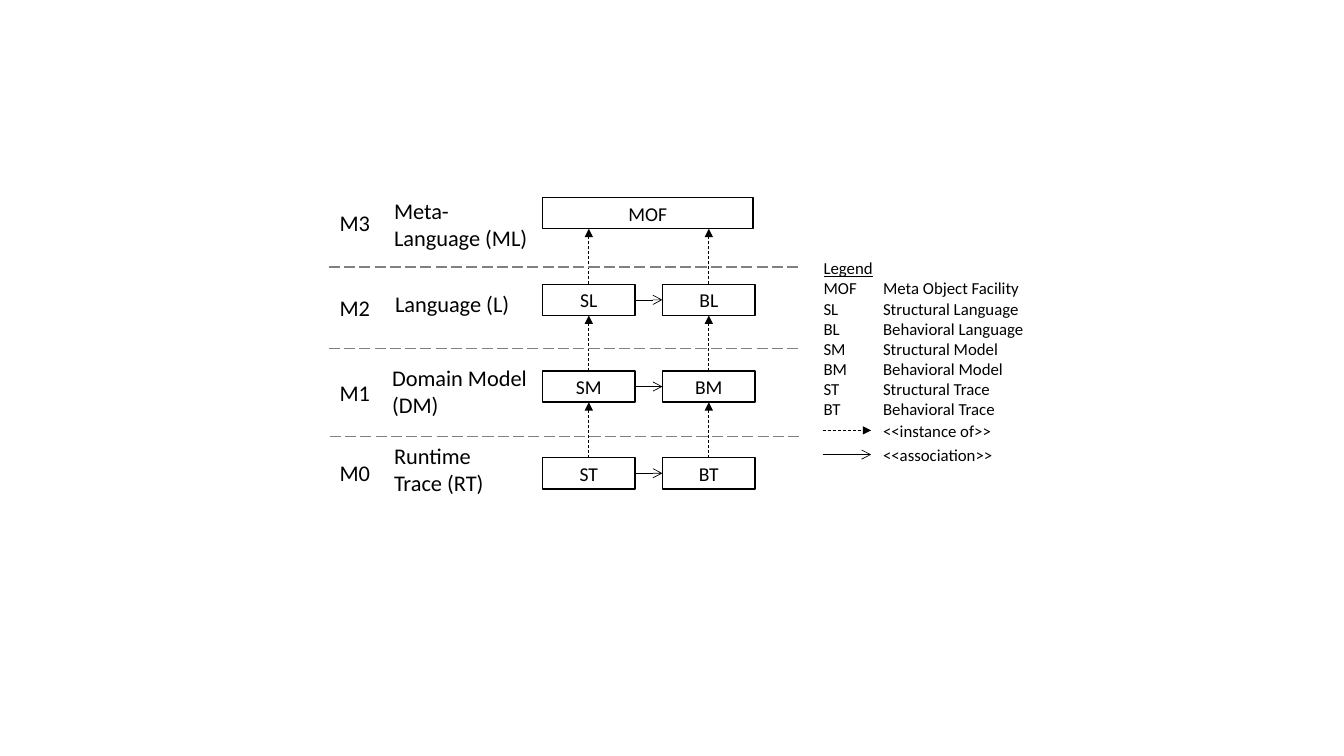
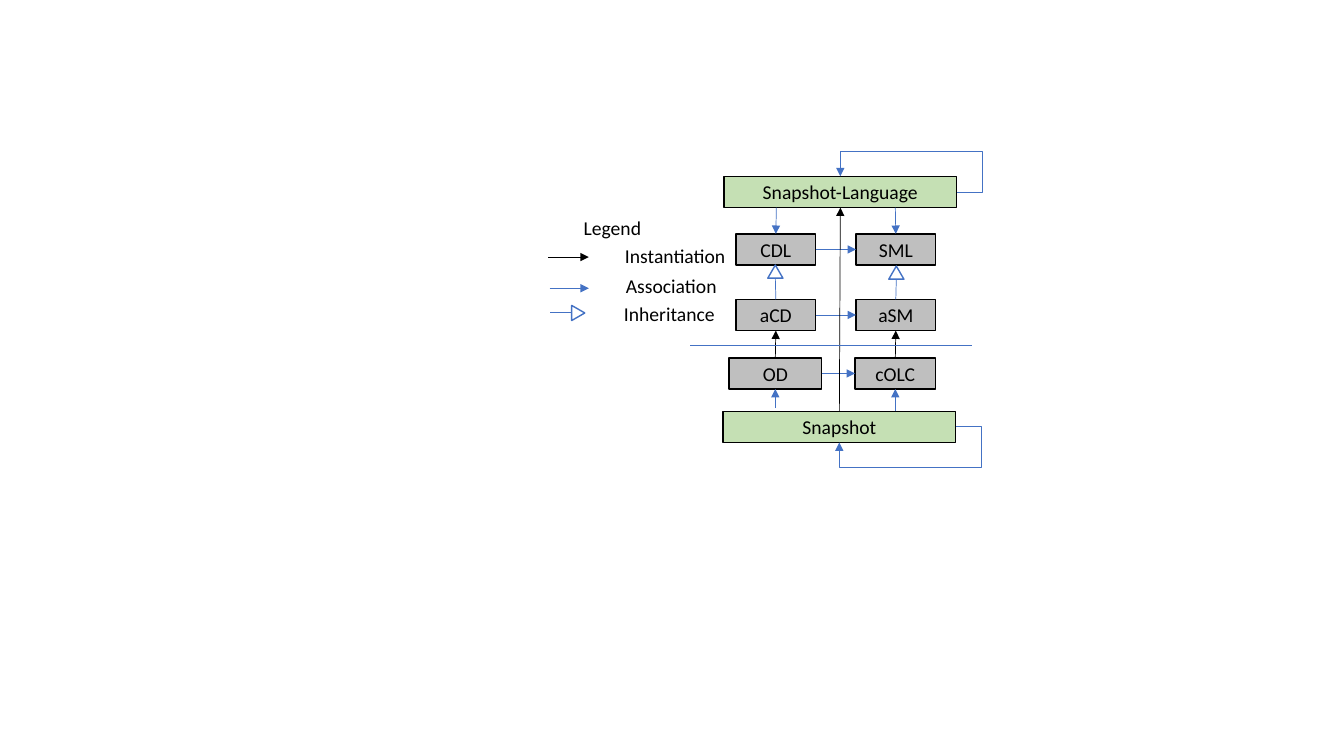
from lxml import etree
from pptx import Presentation
from pptx.dml.color import RGBColor
from pptx.enum.dml import MSO_LINE
from pptx.enum.shapes import MSO_CONNECTOR as Connector, MSO_SHAPE as Shape
from pptx.enum.text import MSO_ANCHOR as Anchor, PP_ALIGN as Align
from pptx.oxml.ns import qn
from pptx.util import Inches, Pt

# Shared style
FONT = "Calibri"
BLACK, WHITE, GRAY = "000000", "FFFFFF", "808080"
BLUE, SILVER, GREEN = "4472C4", "BFBFBF", "C5E0B4"
BOX_HEIGHT = 0.31
TOP, LEFT, BOTTOM, RIGHT = range(4)

# Slide 1: level, its y, description, description x and y, boxes of the row
LEVELS = [
    ("M3", 2.03, "Meta-\nLanguage (ML)", 3.81, 1.91, ["MOF"]),
    ("M2", 2.87, "Language (L)", 3.82, 2.83, ["SL", "BL"]),
    ("M1", 3.71, "Domain Model\n(DM)", 3.79, 3.56, ["SM", "BM"]),
    ("M0", 4.51, "Runtime\nTrace (RT)", 3.81, 4.34, ["ST", "BT"]),
]
ROW_TOP, ROW_STEP = 1.96, 0.86
COLUMN_LEFT, COLUMN_STEP = 5.38, 1.19
SEPARATORS = [(3.26, 2.65), (3.26, 3.46), (3.27, 4.33)]
ABBREVIATIONS = [
    "Legend",
    "MOF\tMeta Object Facility",
    "SL\tStructural Language",
    "BL\tBehavioral Language",
    "SM\tStructural Model",
    "BM\tBehavioral Model",
    "ST\tStructural Trace",
    "BT\tBehavioral Trace",
]
ARROW_LEGEND = [
    ("<<instance of>>", 4.27, "triangle", True),
    ("<<association>>", 4.51, "arrow", False),
]

# Slide 2: name, left, top, width, fill
LANGUAGE_BOXES = [
    ("Snapshot-Language", 7.18, 1.75, 2.31, GREEN),
    ("CDL", 7.3, 2.32, 0.79, SILVER),
    ("SML", 8.49, 2.32, 0.79, SILVER),
    ("aCD", 7.3, 2.97, 0.79, SILVER),
    ("aSM", 8.49, 2.97, 0.79, SILVER),
    ("OD", 7.23, 3.55, 0.92, SILVER),
    ("cOLC", 8.48, 3.55, 0.8, SILVER),
    ("Snapshot", 7.17, 4.08, 2.31, GREEN),
]
ASSOCIATIONS = [("CDL", "SML"), ("aCD", "aSM"), ("OD", "cOLC")]
INSTANTIATIONS = [("OD", "aCD"), ("cOLC", "aSM"), ("Snapshot", "Snapshot-Language")]
INHERITANCES = [("aCD", 7.69, 2.63), ("aSM", 8.89, 2.64)]
PARTS = [
    ((7.7, 2.06), "CDL", TOP),
    ((8.88, 2.06), "SML", TOP),
    ((7.69, 4.05), "OD", BOTTOM),
    ((8.88, 4.08), "cOLC", BOTTOM),
]
SELF_LOOPS = [("Snapshot-Language", TOP), ("Snapshot", BOTTOM)]
LEGEND_LABELS = [
    ("Legend", 5.69, 2.09),
    ("Instantiation", 6.1, 2.37),
    ("Association", 6.11, 2.67),
    ("Inheritance", 6.09, 2.95),
]
TRIANGLE_WIDTH, TRIANGLE_HEIGHT = 0.15, 0.13


def color(value):
    return RGBColor.from_string(value)


def write(frame, text, size, align=Align.LEFT):
    frame.text = text
    for paragraph in frame.paragraphs:
        paragraph.alignment = align
        paragraph.font.name = FONT
        paragraph.font.size = Pt(size)
        paragraph.font.color.rgb = color(BLACK)


def add_label(slide, text, left, top, width, height, size, wrap=True):
    label = slide.shapes.add_textbox(*map(Inches, (left, top, width, height)))
    label.text_frame.word_wrap = wrap
    write(label.text_frame, text, size)
    return label


def add_figure(slide, kind, left, top, width, height, fill, line):
    shape = slide.shapes.add_shape(kind, *map(Inches, (left, top, width, height)))
    shape.shadow.inherit = False
    shape.fill.solid()
    shape.fill.fore_color.rgb = color(fill)
    shape.line.color.rgb = color(line)
    shape.line.width = Pt(1)
    return shape


def add_box(slide, text, left, top, width, fill=WHITE):
    box = add_figure(slide, Shape.RECTANGLE, left, top, width, BOX_HEIGHT, fill, BLACK)
    box.text_frame.vertical_anchor = Anchor.MIDDLE
    write(box.text_frame, text, 14, Align.CENTER)
    return box


def add_line(slide, start, end, line=BLACK, head=None, dash=None, width=0.5,
             kind=Connector.STRAIGHT):
    """Each end is an (x, y) point in inches or a (shape, side) pair."""
    connector = slide.shapes.add_connector(kind, 0, 0, 0, 0)
    first, second = start
    if isinstance(first, (int, float)):
        connector.begin_x, connector.begin_y = Inches(first), Inches(second)
    else:
        connector.begin_connect(first, second)
    first, second = end
    if isinstance(first, (int, float)):
        connector.end_x, connector.end_y = Inches(first), Inches(second)
    else:
        connector.end_connect(first, second)
    connector.line.color.rgb = color(line)
    connector.line.width = Pt(width)
    if dash:
        connector.line.dash_style = dash
    properties = connector.element.spPr
    if head:
        etree.SubElement(properties.find(qn("a:ln")), qn("a:tailEnd"), type=head)
    etree.SubElement(properties, qn("a:effectLst"))
    return connector


def add_self_loop(slide, box, side):
    loop = add_line(slide, (box, RIGHT), (box, side), BLUE, "triangle",
                    kind=Connector.ELBOW)
    geometry = loop.element.spPr.find(qn("a:prstGeom"))
    geometry.set("prst", "bentConnector4")
    for child in list(geometry):
        geometry.remove(child)
    adjustments = etree.SubElement(geometry, qn("a:avLst"))
    for name, value in (("adj1", -21700), ("adj2", 258700)):
        etree.SubElement(adjustments, qn("a:gd"), name=name, fmla=f"val {value}")


def build_levels(slide):
    # Level names, descriptions and boxes
    boxes = {}
    for row, (level, level_top, text, left, top, names) in enumerate(LEVELS):
        add_label(slide, level, 3.27, level_top, 0.53, 0.37, 16)
        add_label(slide, text, left, top, 1.64, 0.37 if "\n" not in text else 0.64, 16)
        for column, name in enumerate(names):
            boxes[row, column] = add_box(
                slide, name, COLUMN_LEFT + column * COLUMN_STEP,
                ROW_TOP + row * ROW_STEP, 2.09 if len(names) == 1 else 0.92)

    # Associations along each row, instance-of arrows up each column
    for row in range(1, len(LEVELS)):
        add_line(slide, (boxes[row, 0], RIGHT), (boxes[row, 1], LEFT), head="arrow")
        for column in range(2):
            if row == 1:
                target = (COLUMN_LEFT + 0.46 + column * COLUMN_STEP, ROW_TOP + BOX_HEIGHT)
            else:
                target = (boxes[row - 1, column], BOTTOM)
            add_line(slide, (boxes[row, column], TOP), target,
                     head="triangle", dash=MSO_LINE.DASH)

    for left, y in SEPARATORS:
        add_line(slide, (left, y), (left + 4.65, y), GRAY, dash=MSO_LINE.LONG_DASH, width=1)

    # Legend
    legend = add_label(slide, "\n".join(ABBREVIATIONS), 8.07, 2.51, 2.24, 1.74, 12)
    paragraphs = legend.text_frame.paragraphs
    paragraphs[0].font.underline = True
    for paragraph in paragraphs:
        properties = paragraph._p.get_or_add_pPr()
        tabs = etree.Element(qn("a:tabLst"))
        etree.SubElement(tabs, qn("a:tab"), pos=str(Inches(0.59)), algn="l")
        properties.find(qn("a:defRPr")).addprevious(tabs)
    for text, y, head, dashed in ARROW_LEGEND:
        add_line(slide, (8.16, y), (8.64, y), head=head,
                 dash=MSO_LINE.DASH if dashed else None)
        add_label(slide, text, 8.66, y - 0.15, 1.3, 0.3, 12, wrap=False)


def add_triangle(slide, left, top):
    return add_figure(slide, Shape.ISOSCELES_TRIANGLE, left, top,
                      TRIANGLE_WIDTH, TRIANGLE_HEIGHT, WHITE, BLUE)


def build_snapshot(slide):
    boxes = {name: add_box(slide, name, left, top, width, fill)
             for name, left, top, width, fill in LANGUAGE_BOXES}

    # Relations between boxes
    for source, target in ASSOCIATIONS:
        add_line(slide, (boxes[source], RIGHT), (boxes[target], LEFT), BLUE, "triangle")
    for source, target in INSTANTIATIONS:
        add_line(slide, (boxes[source], TOP), (boxes[target], BOTTOM), head="triangle")
    for start, target, side in PARTS:
        add_line(slide, start, (boxes[target], side), BLUE, "triangle")
    for source, center, top in INHERITANCES:
        add_triangle(slide, center - TRIANGLE_WIDTH / 2, top)
        add_line(slide, (center, top + TRIANGLE_HEIGHT), (boxes[source], TOP), BLUE)
    for name, side in SELF_LOOPS:
        add_self_loop(slide, boxes[name], side)

    # Border between languages and instances
    add_line(slide, (9.64, 3.43), (6.84, 3.43), BLUE)

    # Legend
    for text, left, top in LEGEND_LABELS:
        add_label(slide, text, left, top, 1.53, 0.34, 14)
    add_line(slide, (5.44, 2.55), (5.84, 2.55), head="triangle")
    add_line(slide, (5.45, 2.86), (5.84, 2.86), BLUE, "triangle")
    add_triangle(slide, 5.66, 3.04).rotation = 90
    add_line(slide, (5.67, 3.1), (5.46, 3.1), BLUE)


def main():
    presentation = Presentation()
    presentation.slide_width, presentation.slide_height = Inches(13.33), Inches(7.5)
    for build in (build_levels, build_snapshot):
        build(presentation.slides.add_slide(presentation.slide_layouts[6]))
    presentation.save("out.pptx")


if __name__ == "__main__":
    main()
